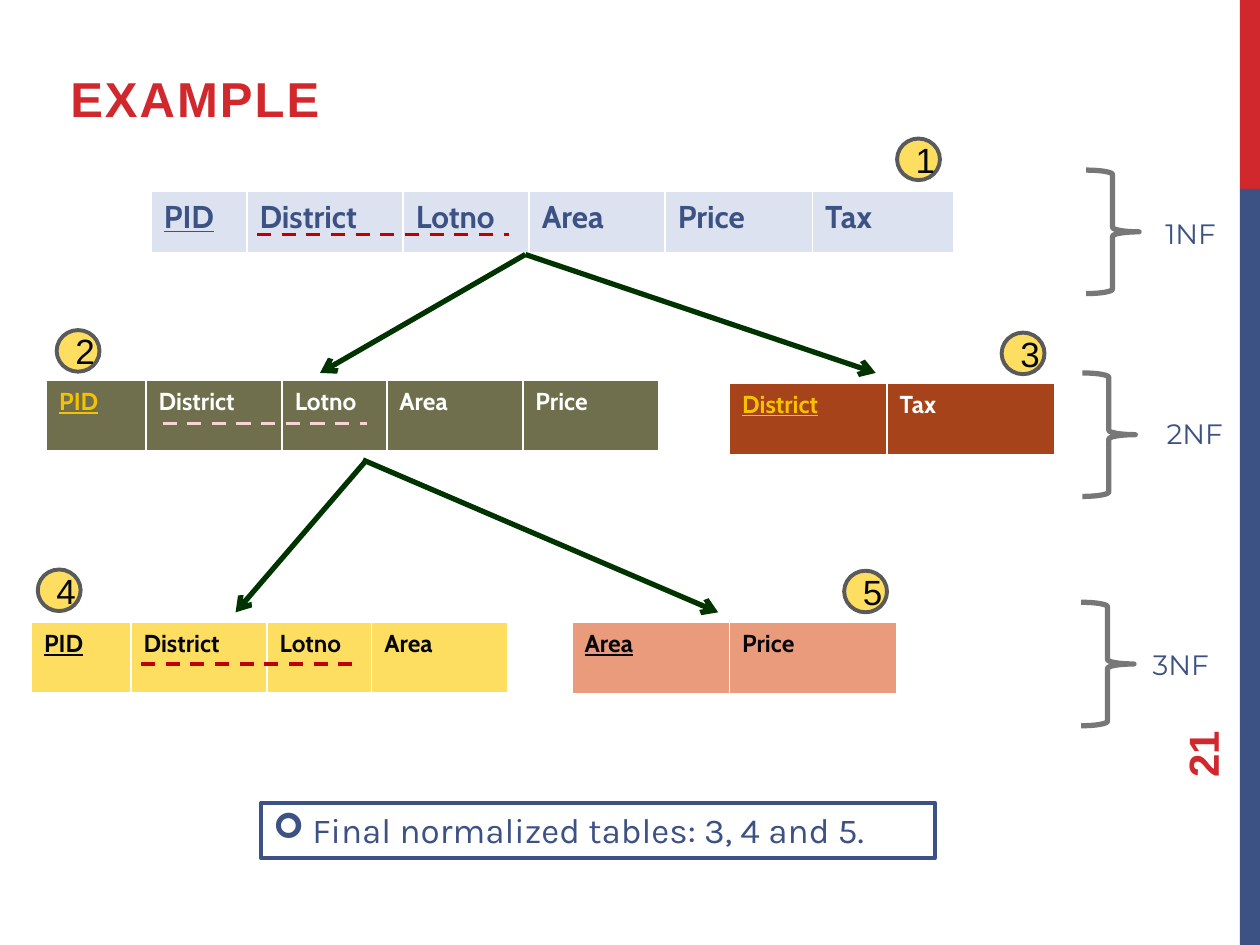
from dataclasses import dataclass

from lxml.etree import SubElement
from pptx import Presentation
from pptx.dml.color import RGBColor
from pptx.enum.dml import MSO_LINE
from pptx.enum.shapes import MSO_CONNECTOR, MSO_SHAPE
from pptx.enum.text import MSO_ANCHOR as ANC, MSO_AUTO_SIZE as FIT, PP_ALIGN as AL
from pptx.oxml.ns import qn
from pptx.slide import Slide
from pptx.util import Inches, Pt

COLORS = {
    "red": "D1282E", "blue": "3C5184", "pale": "DCE2EF", "dash": "C00000",
    "pink": "F7D3D4", "green": "003300", "olive": "6F6F4E", "rust": "A6431A",
    "gold": "F5C201", "yellow": "FEDE61", "salmon": "EA9B7C", "ink": "05070B",
    "ring": "5A5A5A", "grey": "777777", "white": "FFFFFF",
}


def rgb(name):
    return RGBColor.from_string(COLORS[name])


@dataclass
class Deck:
    """Draws styled elements on the current slide."""

    s: Slide
    head: str = "Arial"
    cell: str = "Cabin"
    label: str = "Montserrat"
    body: str = "Karla"

    def run(self, p, text, size, font, color, bold=False, underline=False):
        r = p.add_run()
        r.text = text
        f = r.font
        f.size, f.name, f.bold, f.underline = Pt(size), font, bold, underline
        f.color.rgb = rgb(color)
        return r

    def text(self, box, text, size, font, color, bold=False, anchor=ANC.TOP, wrap=True):
        sp = self.s.shapes.add_textbox(*map(Inches, box))
        tf = sp.text_frame
        tf.auto_size = FIT.NONE if wrap else FIT.SHAPE_TO_FIT_TEXT
        tf.word_wrap, tf.vertical_anchor = wrap, anchor
        return sp, self.run(tf.paragraphs[0], text, size, font, color, bold)

    def shape(self, kind, box, fill=None, line=None, width=2.25):
        sp = self.s.shapes.add_shape(kind, *map(Inches, box))
        sp.shadow.inherit = False
        if fill:
            sp.fill.solid()
            sp.fill.fore_color.rgb = rgb(fill)
        else:
            sp.fill.background()
        if line:
            sp.line.color.rgb = rgb(line)
            sp.line.width = Pt(width)
        else:
            sp.line.fill.background()
        return sp

    def badge(self, number, x, y):
        sp = self.shape(MSO_SHAPE.OVAL, (x, y, 0.34, 0.33), "yellow", "ring")
        tf = sp.text_frame
        tf.vertical_anchor = ANC.MIDDLE
        p = tf.paragraphs[0]
        p.alignment = AL.CENTER
        self.run(p, str(number), 20, self.head, "ink")

    def line(self, start, end, color, width):
        ends = map(Inches, (*start, *end))
        c = self.s.shapes.add_connector(MSO_CONNECTOR.STRAIGHT, *ends)
        c.line.color.rgb = rgb(color)
        c.line.width = Pt(width)
        SubElement(c._element.spPr, qn("a:effectLst"))
        return c

    def dashes(self, x1, x2, y, color):
        self.line((x1, y), (x2, y), color, 2).line.dash_style = MSO_LINE.DASH

    def arrow(self, start, end):
        c = self.line(start, end, "green", 3)
        SubElement(c.line._get_or_add_ln(), qn("a:tailEnd"), type="arrow")

    def relation(self, x, y, height, columns, fill, color, key_color, size=14):
        widths = [w for _, w in columns]
        box = map(Inches, (x, y, sum(widths), height))
        table = self.s.shapes.add_table(1, len(columns), *box).table
        table.rows[0].height = Inches(height)
        for i, (name, width) in enumerate(columns):
            table.columns[i].width = Inches(width)
            cell = table.cell(0, i)
            self.borders(cell)
            cell.fill.solid()
            cell.fill.fore_color.rgb = rgb(fill)
            key = i == 0
            self.run(cell.text_frame.paragraphs[0], name, size, self.cell,
                     key_color if key else color, True, key)

    def borders(self, cell):
        tc_pr = cell._tc.get_or_add_tcPr()
        for side, width in (("L", 1), ("R", 1), ("T", 1), ("B", 3)):
            ln = SubElement(tc_pr, qn(f"a:ln{side}"), w=str(Pt(width)))
            fill = SubElement(ln, qn("a:solidFill"))
            SubElement(fill, qn("a:srgbClr"), val=COLORS["white"])

    def normal_form(self, name, brace, label):
        self.shape(MSO_SHAPE.RIGHT_BRACE, (*brace, 0.42, 0.98), line="grey", width=3)
        self.text((*label, 0.69, 0.37), name, 16, self.label, "blue", wrap=False)

    def conclusion(self, box, text):
        sp = self.shape(MSO_SHAPE.RECTANGLE, box, line="blue")
        tf = sp.text_frame
        tf.vertical_anchor, tf.auto_size = ANC.TOP, FIT.SHAPE_TO_FIT_TEXT
        p = tf.paragraphs[0]
        p.alignment = AL.LEFT
        p_pr = p._p.get_or_add_pPr()
        indent = Inches(0.31)
        p_pr.set("marL", str(indent))
        p_pr.set("indent", str(-indent))
        SubElement(p_pr, qn("a:buFont"), typeface="Wingdings")
        SubElement(p_pr, qn("a:buChar"), char="➢")
        self.run(p, text, 20, self.body, "blue")


def main():
    prs = Presentation()
    prs.slide_width, prs.slide_height = Inches(10), Inches(7.5)
    d = Deck(prs.slides.add_slide(prs.slide_layouts[6]))

    d.shape(MSO_SHAPE.RECTANGLE, (9.84, 0, 0.16, 1.5), "red")
    d.shape(MSO_SHAPE.RECTANGLE, (9.84, 1.5, 0.16, 6), "blue")
    page, _ = d.text((8.82, 5.35, 1.44, 0.4), "21", 24, d.head, "red", True, ANC.MIDDLE)
    page.rotation = 270
    _, title = d.text((0.46, 0.39, 2.31, 0.67), "EXAMPLE", 28, d.head, "red", True, ANC.BOTTOM)
    title.font._element.set("spc", "120")

    lots = [("PID", 0.79), ("District", 1.08), ("Lotno", 0.83), ("Area", 1.08)]
    full = [("PID", 0.76), ("District", 1.24), ("Lotno", 1), ("Area", 1.08),
            ("Price", 1.17), ("Tax", 1.12)]
    d.relation(1.2, 1.52, 0.5, full, "pale", "blue", "blue", 18)
    d.relation(0.37, 3.02, 0.57, lots + [("Price", 1.08)], "olive", "white", "gold")
    d.relation(5.79, 3.04, 0.58, [("District", 1.25), ("Tax", 1.33)], "rust", "white", "gold")
    d.relation(0.25, 4.94, 0.57, lots, "yellow", "ink", "ink")
    d.relation(4.54, 4.94, 0.58, [("Area", 1.25), ("Price", 1.33)], "salmon", "ink", "ink")

    d.dashes(2.04, 4.04, 1.86, "dash")
    d.dashes(1.29, 2.91, 3.36, "pink")
    d.dashes(1.12, 2.79, 5.27, "dash")

    for start, end in (((4.17, 2.02), (2.54, 2.96)), ((4.17, 2.02), (6.95, 2.96)),
                       ((2.91, 3.65), (1.87, 4.86)), ((2.88, 3.65), (5.7, 4.86))):
        d.arrow(start, end)

    spots = [(7.12, 1.1), (0.45, 2.62), (7.95, 2.64), (0.3, 4.52), (6.7, 4.53)]
    for number, (x, y) in enumerate(spots, 1):
        d.badge(number, x, y)

    d.normal_form("1NF", (8.62, 1.35), (9.15, 1.67))
    d.normal_form("2NF", (8.59, 2.96), (9.16, 3.26))
    d.normal_form("3NF", (8.58, 4.78), (9.05, 5.09))
    d.conclusion((2.07, 6.37, 5.35, 0.44), "Final normalized tables: 3, 4 and 5.")

    prs.save("out.pptx")


if __name__ == "__main__":
    main()
